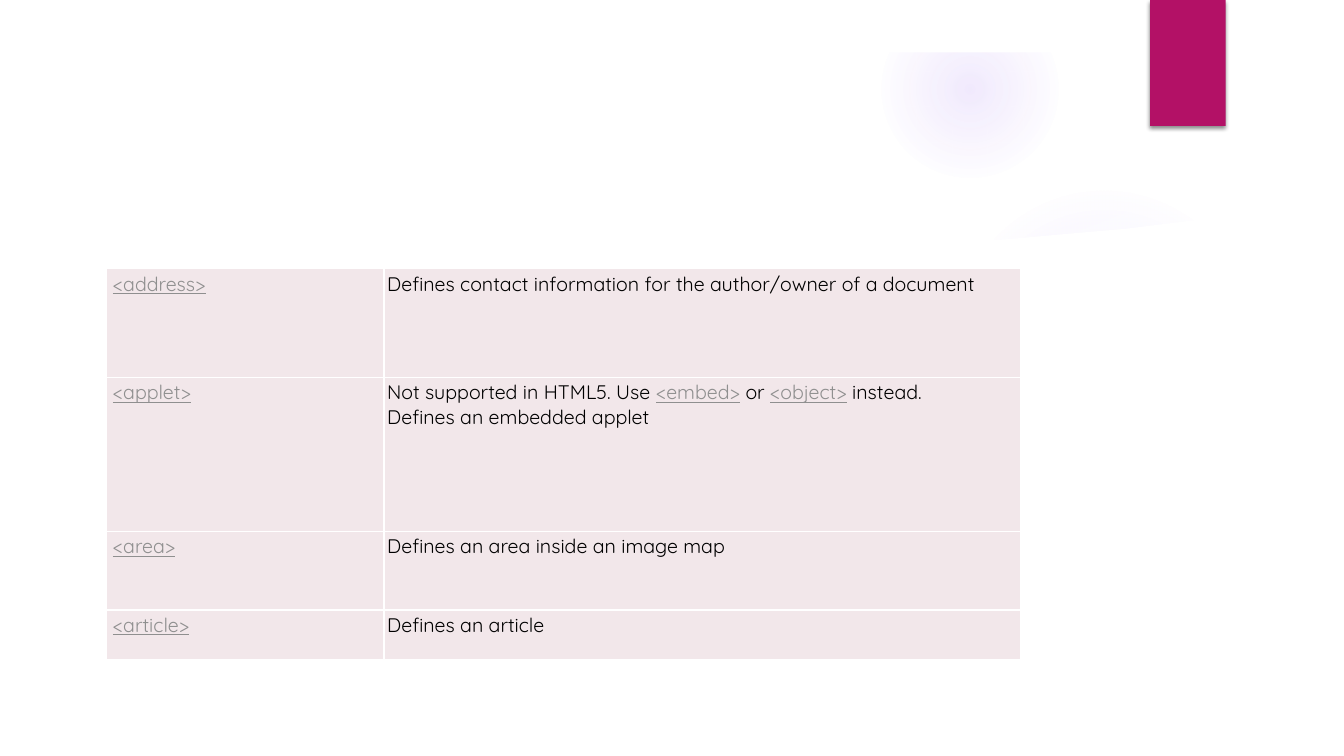
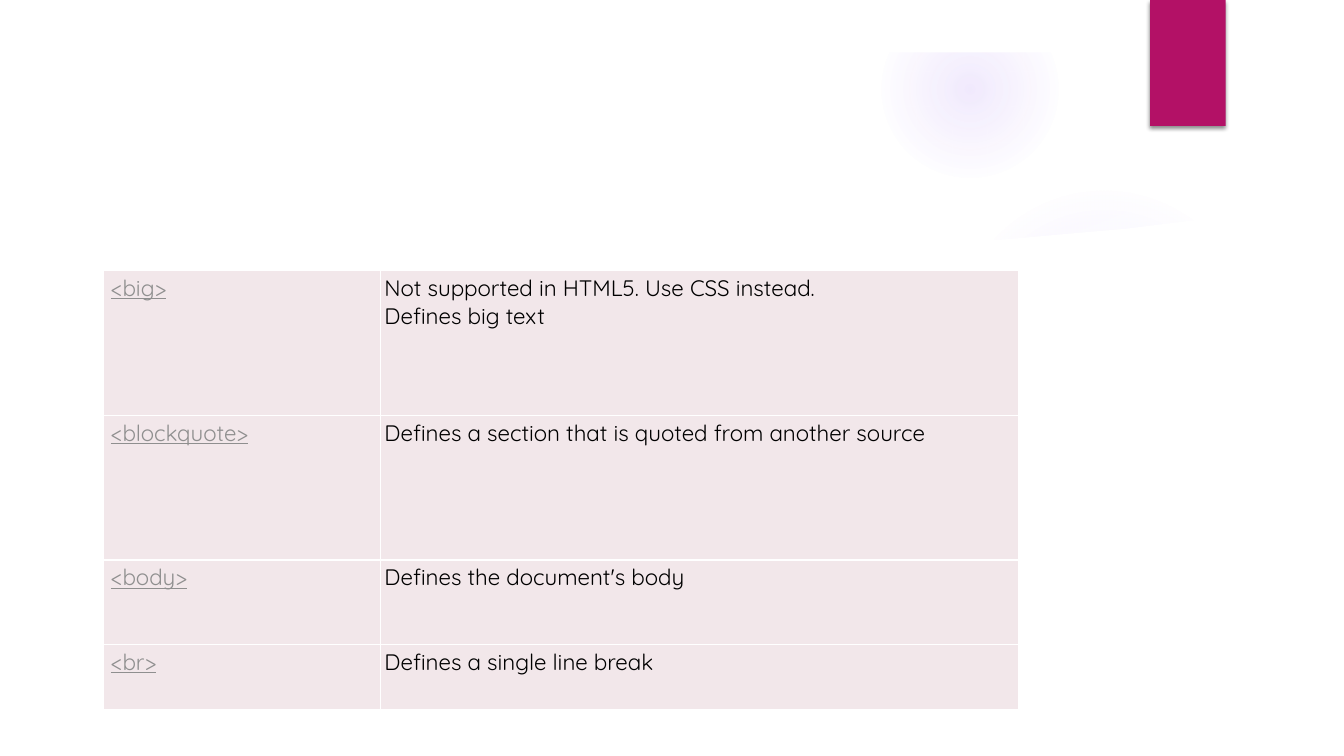
"""Build two reference slides that list HTML tags in tables."""
from lxml import etree
from pptx import Presentation
from pptx.dml.color import RGBColor
from pptx.enum.shapes import MSO_SHAPE
from pptx.oxml import parse_xml
from pptx.oxml.ns import nsdecls, qn
from pptx.util import Pt

OVAL, RECT = MSO_SHAPE.OVAL, MSO_SHAPE.RECTANGLE
FONT = "Quicksand"
COLORS = {
    "white": "FFFFFF", "glow": "9B6BF2", "ribbon": "B31166",
    "cell": "F2E7EA", "text": "000000", "link": "8F8F8F",
}
WIDTH, HEIGHT = 960, 540
MARGIN = 37.5
GLOWS = [
    ((677.5, 131.8, 221.8, 221.8), ((0, 7), (36, 6), (69, 0))),
    ((630, 0.7, 126, 126), ((0, 14), (36, 7), (73, 0))),
]
SHEEN = [
    (672.5, 180), (735, 177), (835, 165), (928, 154), (923.8, 119.5),
    (890, 130.5), (856.8, 140), (823.7, 148), (790.6, 155.5),
    (758, 162), (727, 167.5), (698, 171.4), (669.6, 175),
]
PANEL = [
    (36, 147), (36, 504), (924, 504), (924, 147), (884, 153.4),
    (844, 158.5), (803.5, 163.5), (763, 167), (723, 170.6), (683, 173.5),
    (643.7, 175.7), (605, 177), (566, 178), (528.5, 178.6), (491, 178.6),
    (455, 178), (420, 177.5), (385, 176.5), (351, 175), (289, 171.4),
    (231, 167.8), (179, 163.5), (134.6, 159), (97, 154.8), (68, 151),
]
FRAME = [
    [(0, 0), (0, HEIGHT), (WIDTH, HEIGHT), (WIDTH, 0)],
    [(WIDTH - MARGIN, HEIGHT - MARGIN), (MARGIN, HEIGHT - MARGIN),
     (MARGIN, MARGIN), (WIDTH - MARGIN, MARGIN)],
]
RIBBON = (821.5, 0, 54, 90)
TABLES = [
    {
        "left": 76.3, "top": 191.7, "widths": (198, 455),
        "heights": (77.8, 110, 56.2, 35.2), "size": 14, "inset": 2.2,
        "rows": [
            (["<address>"],
             ["Defines contact information for the author/owner of a document"]),
            (["<applet>"],
             ["Not supported in HTML5. Use\u00a0", "<embed>", "\u00a0or\u00a0",
              "<object>", "\u00a0instead.", "\n", "Defines an embedded applet"]),
            (["<area>"], ["Defines an area inside an image map"]),
            (["<article>"], ["Defines an article"]),
        ],
    },
    {
        "left": 74, "top": 193, "widths": (198, 455.8),
        "heights": (103.5, 103.5, 60.5, 46.5), "size": 16, "inset": 2.6,
        "rows": [
            (["<big>"],
             ["Not supported in HTML5. Use CSS instead.", "\n", "Defines big text"]),
            (["<blockquote>"],
             ["Defines a section that is quoted from another source"]),
            (["<body>"], ["Defines the document's body"]),
            (["<br>"], ["Defines a single line break"]),
        ],
    },
]


def rgb(name):
    """Return the named colour."""
    return RGBColor.from_string(COLORS[name])


def paint(sp, name):
    """Give a shape a solid fill, no line and no shadow."""
    sp.shadow.inherit = False
    sp.fill.solid()
    sp.fill.fore_color.rgb = rgb(name)
    sp.line.fill.background()
    return sp


def add_preset(shapes, kind, box, name):
    """Add a painted preset shape in a box."""
    return paint(shapes.add_shape(kind, *map(Pt, box)), name)


def add_outline(shapes, contours, name):
    """Add a painted freeform made of closed contours."""
    fb = None
    for contour in contours:
        start, *rest = [(Pt(x), Pt(y)) for x, y in contour]
        if fb is None:
            fb = shapes.build_freeform(*start)
        else:
            fb.move_to(*start)
        fb.add_line_segments(rest, close=True)
    return paint(fb.convert_to_shape(), name)


def add_glow(shapes, box, stops):
    """Add a circle that fades outwards through stops of position and opacity."""
    sp = add_preset(shapes, OVAL, box, "glow")
    steps = "".join(
        f'<a:gs pos="{pos * 1000}"><a:srgbClr val="{COLORS["glow"]}">'
        f'<a:alpha val="{alpha * 1000}"/></a:srgbClr></a:gs>'
        for pos, alpha in stops)
    spPr = sp.element.spPr
    spPr.replace(spPr.find(qn("a:solidFill")), parse_xml(
        f'<a:gradFill {nsdecls("a")}><a:gsLst>{steps}</a:gsLst>'
        '<a:path path="circle"><a:fillToRect l="50000" t="50000" r="50000" '
        'b="50000"/></a:path></a:gradFill>'))
    return sp


def add_sheen(shapes):
    """Add the tilted translucent sliver above the panel."""
    sp = add_outline(shapes, [SHEEN], "white")
    sp.rotation = -9.8
    clr = sp.element.spPr.find(qn("a:solidFill"))[0]
    etree.SubElement(clr, qn("a:alpha"), val="20000")
    return sp


def add_ribbon(shapes):
    """Add the ribbon at the top edge with its soft shadow."""
    sp = add_preset(shapes, RECT, RIBBON, "ribbon")
    sp.element.spPr.find(qn("a:effectLst")).append(parse_xml(
        f'<a:outerShdw {nsdecls("a")} blurRad="38100" dist="25400" dir="5400000" '
        'rotWithShape="0"><a:srgbClr val="000000"><a:alpha val="45000"/>'
        '</a:srgbClr></a:outerShdw>'))
    return sp


def dress_layout(layout, slide):
    """Draw the shared decoration and hand it to the layout."""
    shapes = slide.shapes
    parts = [add_glow(shapes, box, stops) for box, stops in GLOWS]
    parts.append(add_sheen(shapes))
    parts += [add_outline(shapes, c, "white") for c in ([PANEL], FRAME)]
    parts.append(add_ribbon(shapes))
    for sp in parts:
        layout.shapes.element.append(sp.element)


def add_text(p, text, *, size, color, underline):
    """Add a formatted run, or a line break of the same size."""
    if text == "\n":
        p.add_line_break()
        etree.SubElement(p._p[-1], qn("a:rPr"), sz=str(size * 100))
        return
    r = p.add_run()
    r.text = text
    r.font.name = FONT
    r.font.size = Pt(size)
    r.font.color.rgb = rgb(color)
    r.font.underline = underline


def format_cell(cell, inset, left):
    """Set the fill, margins and white borders of a cell."""
    cell.fill.solid()
    cell.fill.fore_color.rgb = rgb("cell")
    cell.margin_left = Pt(left)
    cell.margin_right = cell.margin_top = cell.margin_bottom = Pt(inset)
    tcPr = cell._tc.get_or_add_tcPr()
    for i, side in enumerate("LRTB"):
        tcPr.insert(i, parse_xml(
            f'<a:ln{side} {nsdecls("a")} w="12700"><a:solidFill>'
            f'<a:srgbClr val="{COLORS["white"]}"/></a:solidFill></a:ln{side}>'))


def add_tag_table(slide, left, top, widths, heights, size, inset, rows):
    """Add a table of tags and their descriptions."""
    table = slide.shapes.add_table(
        len(rows), len(widths), Pt(left), Pt(top),
        Pt(sum(widths)), Pt(sum(heights))).table
    table.first_row = table.horz_banding = False
    for col, width in zip(table.columns, widths):
        col.width = Pt(width)
    for row, height, texts in zip(table.rows, heights, rows):
        row.height = Pt(height)
        for i, (cell, parts) in enumerate(zip(row.cells, texts)):
            format_cell(cell, inset, inset if i else 2 * inset)
            for text in parts:
                link = text.startswith("<")
                add_text(cell.text_frame.paragraphs[0], text, size=size,
                         color="link" if link else "text", underline=link)


def main():
    """Build and save the presentation."""
    prs = Presentation()
    prs.slide_width, prs.slide_height = Pt(WIDTH), Pt(HEIGHT)
    layout = prs.slide_layouts[6]
    slides = [prs.slides.add_slide(layout) for _ in TABLES]
    dress_layout(layout, slides[0])
    for slide, content in zip(slides, TABLES):
        add_tag_table(slide, **content)
    prs.save("out.pptx")


main()
